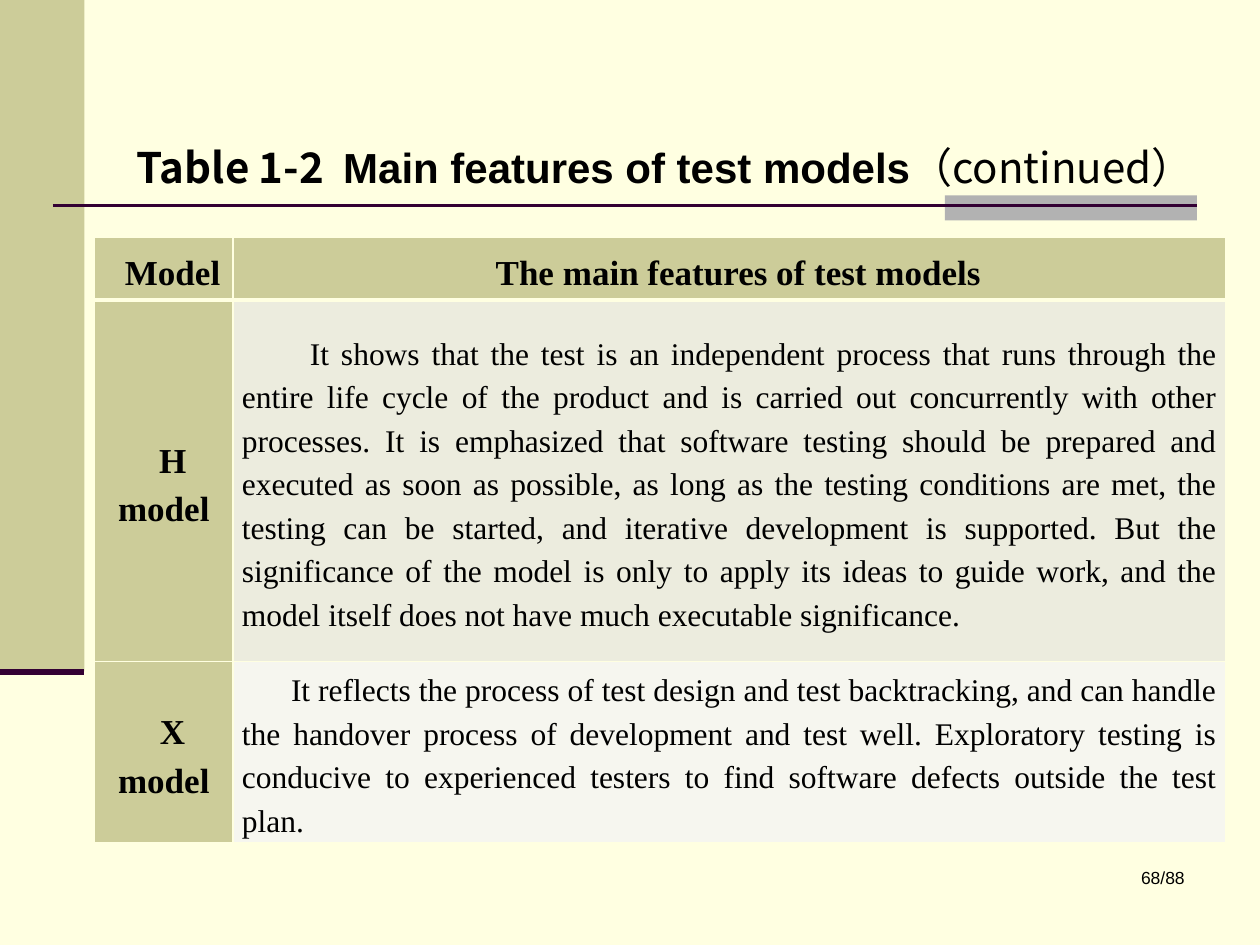
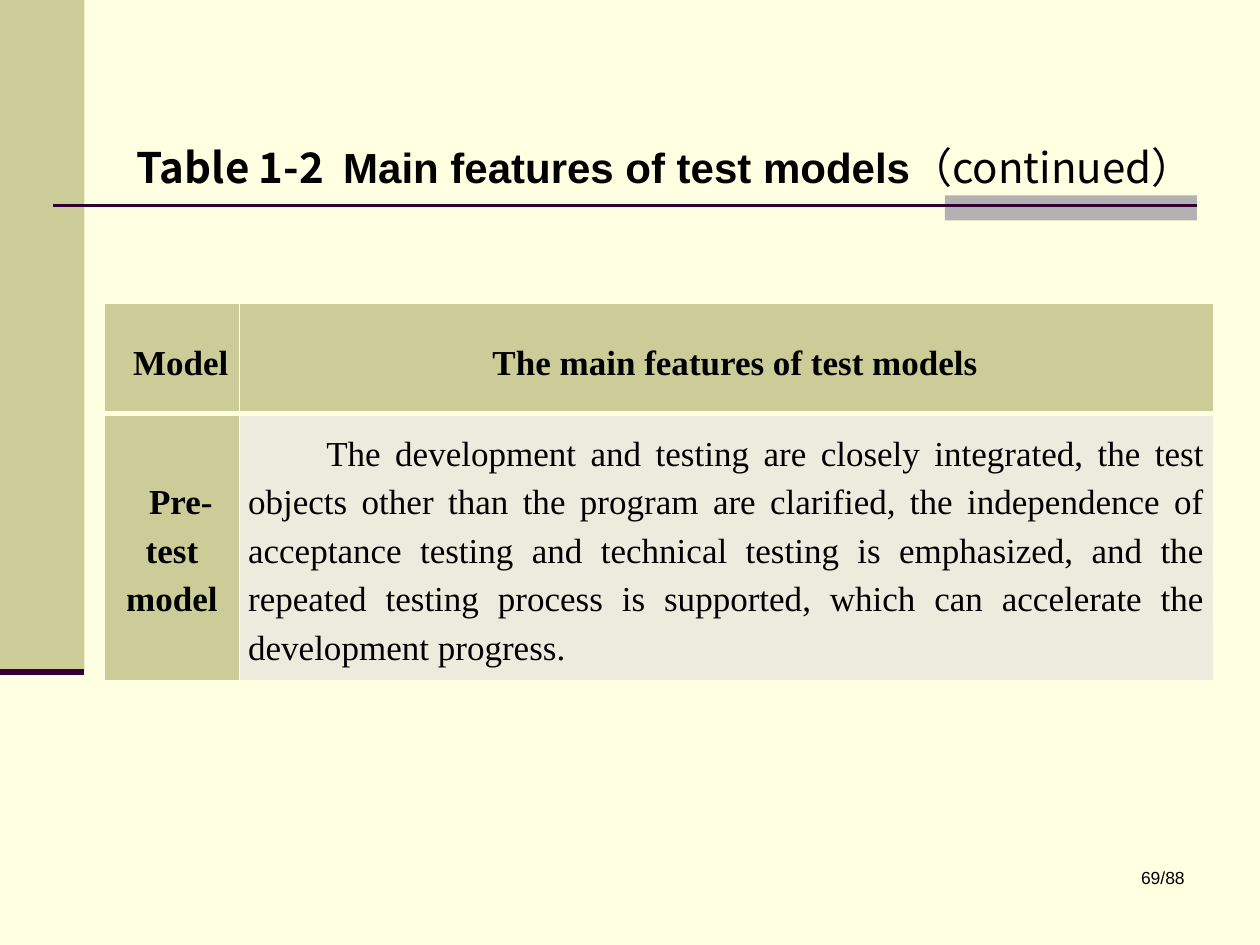
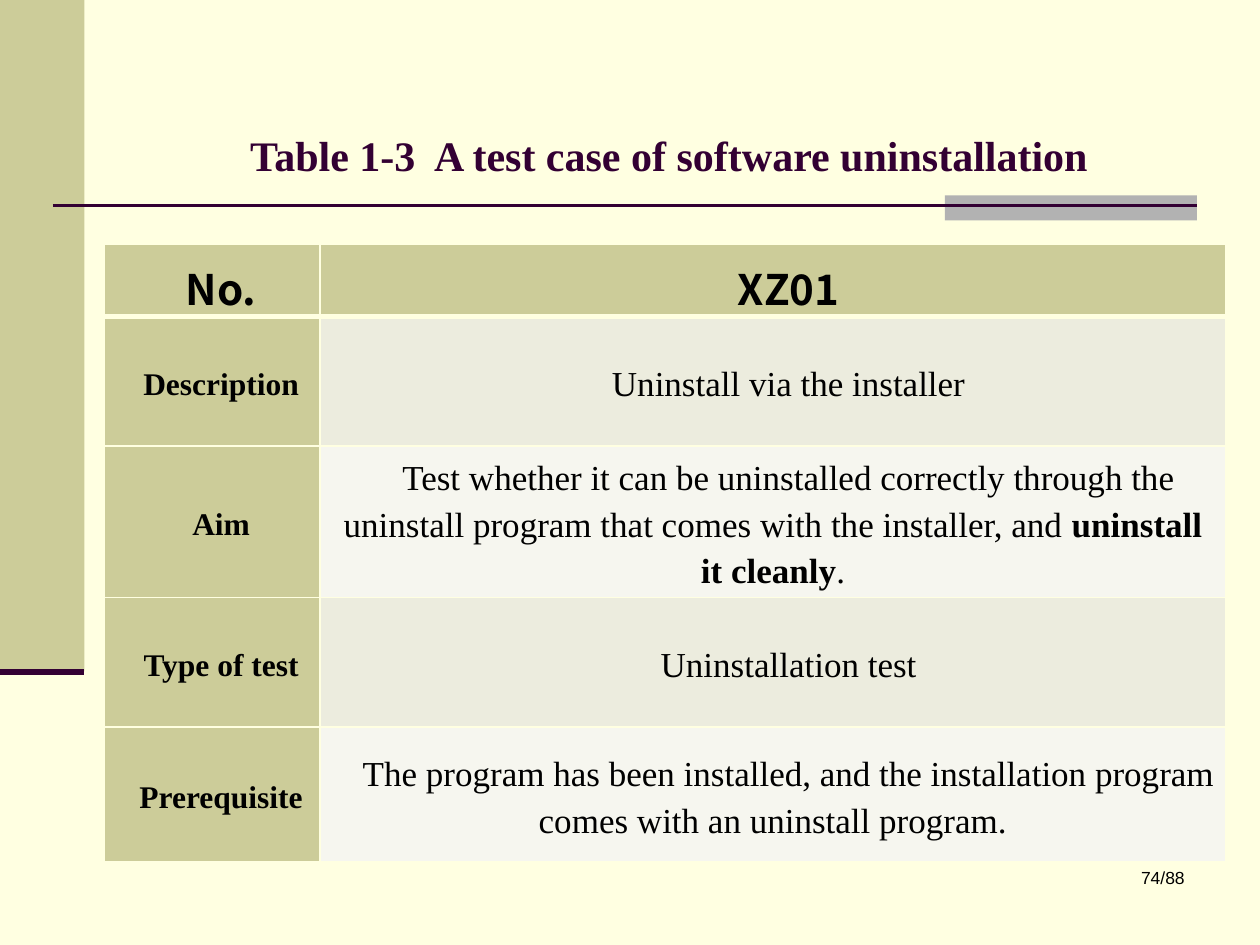
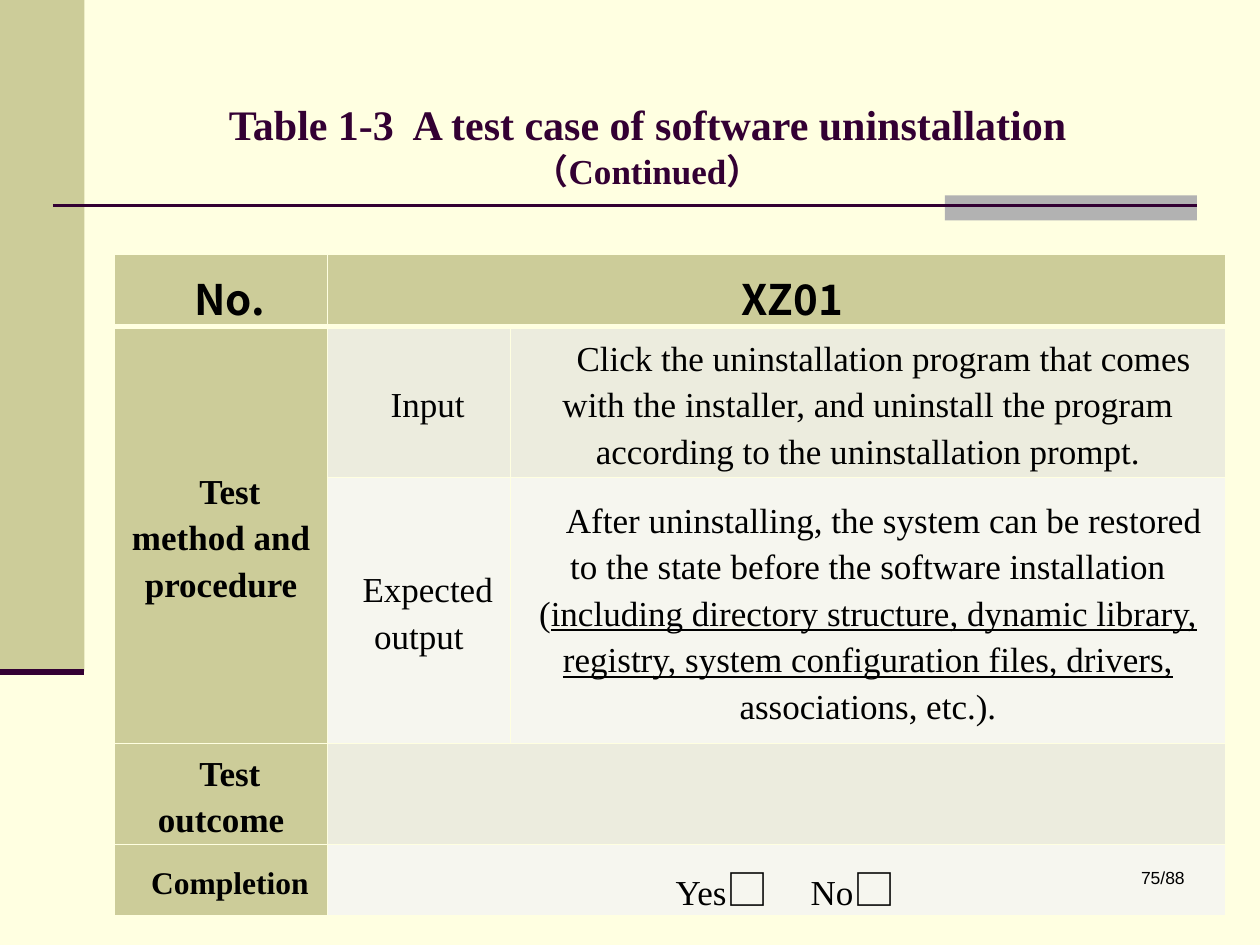
from lxml import etree
from pptx import Presentation
from pptx.dml.color import RGBColor
from pptx.enum.shapes import MSO_CONNECTOR, MSO_SHAPE
from pptx.enum.text import MSO_ANCHOR, PP_ALIGN
from pptx.oxml.ns import qn
from pptx.util import Inches, Pt

LINE, RECT = MSO_CONNECTOR.STRAIGHT, MSO_SHAPE.RECTANGLE
TOP, MID = MSO_ANCHOR.TOP, MSO_ANCHOR.MIDDLE
CENTER, RIGHT, FULL = PP_ALIGN.CENTER, PP_ALIGN.RIGHT, PP_ALIGN.JUSTIFY

HUES = {"page": "FFFFE1", "olive": "CCCC99", "gray": "B2B2B2", "plum": "330033",
        "ink": "000000", "odd": "ECECDE", "even": "F6F6EF"}
SERIF, SANS, CJK = "Times New Roman", "Arial", "Noto Sans CJK SC"


def style(size, name=SERIF, bold=False, **more):
    return {"size": Pt(size), "name": name, "bold": bold, **more}


LABEL, SMALL = style(20, bold=True), style(18, bold=True)
BODY, TEXT = style(20), style(18)
CODE, BOX = style(24, CJK, True), style(24, CJK)
NAME = style(24, bold=True)


def cell(look, text, indent=0.14, align=CENTER):
    """Describe one table cell; text is a string or a list of (look, text) runs."""
    runs = [(look, text)] if isinstance(text, str) else text
    return {"runs": runs, "indent": indent, "align": align}


class Deck:
    def __init__(self):
        self.prs = Presentation()
        self.prs.slide_width, self.prs.slide_height = Inches(10), Inches(7.5)
        self.slide = None

    def hue(self, key):
        return RGBColor.from_string(HUES[key])

    def page(self):
        """Start a slide with the shared background, bands and rules."""
        self.slide = self.prs.slides.add_slide(self.prs.slide_layouts[6])
        back = self.slide.background.fill
        back.solid()
        back.fore_color.rgb = self.hue("page")
        self.band((0, 0, 0.67, 5.33), "olive")
        self.band((7.5, 1.55, 2, 0.2), "gray")
        self.rule(0.42, 9.5, 1.63, 1.5)
        self.rule(0, 0.67, 5.33, 3.5)

    def band(self, at, key):
        shape = self.slide.shapes.add_shape(RECT, *map(Inches, at))
        shape.shadow.inherit = False
        shape.fill.solid()
        shape.fill.fore_color.rgb = self.hue(key)
        shape.line.fill.background()

    def rule(self, left, right, y, width):
        line = self.slide.shapes.add_connector(
            LINE, Inches(left), Inches(y), Inches(right), Inches(y))
        line.line.color.rgb = self.hue("plum")
        line.line.width = Pt(width)
        etree.SubElement(line._element.spPr, qn("a:effectLst"))

    def add_runs(self, para, runs, key="ink"):
        """Add runs to a paragraph; None stands for a line break."""
        for part in runs:
            if part is None:
                para.add_line_break()
                continue
            look, text = part
            run = para.add_run()
            run.text = text
            for attr, value in look.items():
                setattr(run.font, attr, value)
            run.font.color.rgb = self.hue(key)
            etree.SubElement(run._r.get_or_add_rPr(), qn("a:ea"), typeface=CJK)

    def text(self, at, runs, key="ink", align=CENTER, anchor=TOP):
        frame = self.slide.shapes.add_textbox(*map(Inches, at)).text_frame
        frame.word_wrap = True
        frame.vertical_anchor = anchor
        para = frame.paragraphs[0]
        para.alignment = align
        self.add_runs(para, runs, key)

    def title(self, at, *runs):
        self.text(at, runs, "plum", anchor=MID)

    def number(self, page):
        self.text((7.42, 6.83, 2.08, 0.5), [(style(10, SANS), f"{page}/88")], align=RIGHT)

    def edge(self, box, side, width):
        line = etree.SubElement(box._tc.get_or_add_tcPr(), qn(f"a:ln{side}"),
                                w=str(Pt(width)))
        fill = etree.SubElement(line, qn("a:solidFill"))
        etree.SubElement(fill, qn("a:srgbClr"), val=HUES["page"])

    def table(self, left, top, cols, rows, cells, space, spans=()):
        """Draw a table; spans are pairs of first and last (row, column)."""
        size = map(Inches, (left, top, sum(cols), sum(rows)))
        grid = self.slide.shapes.add_table(len(rows), len(cols), *size).table
        grid.first_row = grid.horz_banding = False
        for col, width in zip(grid.columns, cols):
            col.width = Inches(width)
        for row, height in zip(grid.rows, rows):
            row.height = Inches(height)
        for r, line in enumerate(cells):
            for c, spec in enumerate(line):
                self.fill(grid.cell(r, c), r, c, spec, space)
        for first, last in spans:
            grid.cell(*first).merge(grid.cell(*last))

    def fill(self, box, r, c, spec, space):
        for side in "LRTB":
            thick = (r, side) in ((0, "B"), (1, "T"))
            self.edge(box, side, 3 if thick else 1)
        box.fill.solid()
        key = "olive" if r == 0 or c == 0 else "odd" if r % 2 else "even"
        box.fill.fore_color.rgb = self.hue(key)
        box.margin_left = box.margin_right = Inches(0.07)
        box.margin_top = box.margin_bottom = 0
        box.vertical_anchor = MID
        if spec:
            para = box.text_frame.paragraphs[0]
            para.alignment, para.line_spacing = spec["align"], space
            props = para._p.get_or_add_pPr()
            props.set("marL", "0")
            props.set("indent", str(Inches(spec["indent"])))
            self.add_runs(para, spec["runs"])


def models(deck, page, left, top, cols, rows, cells):
    """Build a slide on the features of test models."""
    deck.page()
    head = [cell(LABEL, "Model"), cell(LABEL, "The main features of test models")]
    deck.table(left, top, cols, rows, [head, *cells], 1.25)
    deck.text((0.83, 1.07, 8.9, 0.81), [
        (CODE, "Table 1-2  "), (style(24, SANS, True), "Main features of test models"),
        (BOX, "（continued）")])
    deck.number(page)


def main():
    deck = Deck()
    models(deck, 68, 0.75, 1.88, (1.1, 7.88), (0.5, 2.87, 1.44), [
        [cell(LABEL, "H model"),
         cell(TEXT, "It shows that the test is an independent process that runs through "
              "the entire life cycle of the product and is carried out concurrently with "
              "other processes. It is emphasized that software testing should be prepared "
              "and executed as soon as possible, as long as the testing conditions are "
              "met, the testing can be started, and iterative development is supported. "
              "But the significance of the model is only to apply its ideas to guide work, "
              "and the model itself does not have much executable significance.",
              0.54, FULL)],
        [cell(LABEL, "X model"),
         cell(TEXT, "It reflects the process of test design and test backtracking, and can "
              "handle the handover process of development and test well. Exploratory "
              "testing is conducive to experienced testers to find software defects "
              "outside the test plan.", 0.39, FULL)]])
    models(deck, 69, 0.83, 2.41, (1.07, 7.73), (0.87, 2.12), [
        [cell(LABEL, "Pre-test model"),
         cell(BODY, "The development and testing are closely integrated, the test objects "
              "other than the program are clarified, the independence of acceptance "
              "testing and technical testing is emphasized, and the repeated testing "
              "process is supported, which can accelerate the development progress.",
              0.62, FULL)]])

    name = (NAME, "Table 1-3  A test case of software uninstallation")
    head = [cell(CODE, "No."), cell(CODE, "XZ01", 0.25)]
    aim = [(BODY, "Test whether it can be uninstalled correctly through the uninstall "
            "program that comes with the installer, and "),
           (LABEL, "uninstall it cleanly"), (BODY, ".")]
    facts = {
        "Description": "Uninstall via the installer",
        "Aim": aim,
        "Type of test": "Uninstallation test",
        "Prerequisite": "The program has been installed, and the installation program "
                        "comes with an uninstall program."}
    deck.page()
    deck.title((1.06, 0.6, 8.5, 1.25), name)
    deck.table(0.83, 1.94, (1.71, 7.19), (0.57, 1.03, 1.11, 1.03, 1.07), [
        head, *([cell(SMALL, key), cell(BODY, fact, 0.25)] for key, fact in facts.items())],
        1.2)
    deck.number(74)

    after = [(BODY, "After uninstalling, the system can be restored to the state before "
              "the software installation ("),
             (style(20, underline=True), "including directory structure, dynamic library, "
              "registry, system configuration files, drivers, "),
             (BODY, "associations, etc.).")]
    ticks = [(BODY, "Yes"), (BOX, "□　"), (BODY, "No"), (BOX, "□")]
    deck.page()
    deck.title((0.87, 0.68, 8.54, 0.94), name, None, (LABEL, "（Continued）"))
    deck.table(0.91, 2.02, (1.69, 1.45, 5.68), (0.57, 1.11, 2.11, 0.74, 0.57), [
        [*head, None],
        [cell(LABEL, "Test method and procedure"), cell(BODY, "Input"),
         cell(BODY, "Click the uninstallation program that comes with the installer, and "
              "uninstall the program according to the uninstallation prompt.", 0.25)],
        [None, cell(BODY, "Expected output"), cell(BODY, after, 0.25)],
        [cell(LABEL, "Test outcome"), None, None],
        [cell(SMALL, "Completion"), cell(BODY, ticks), None]], 1.2,
        [((0, 1), (0, 2)), ((1, 0), (2, 0)), ((3, 1), (3, 2)), ((4, 1), (4, 2))])
    deck.number(75)
    deck.prs.save("out.pptx")


if __name__ == "__main__":
    main()
